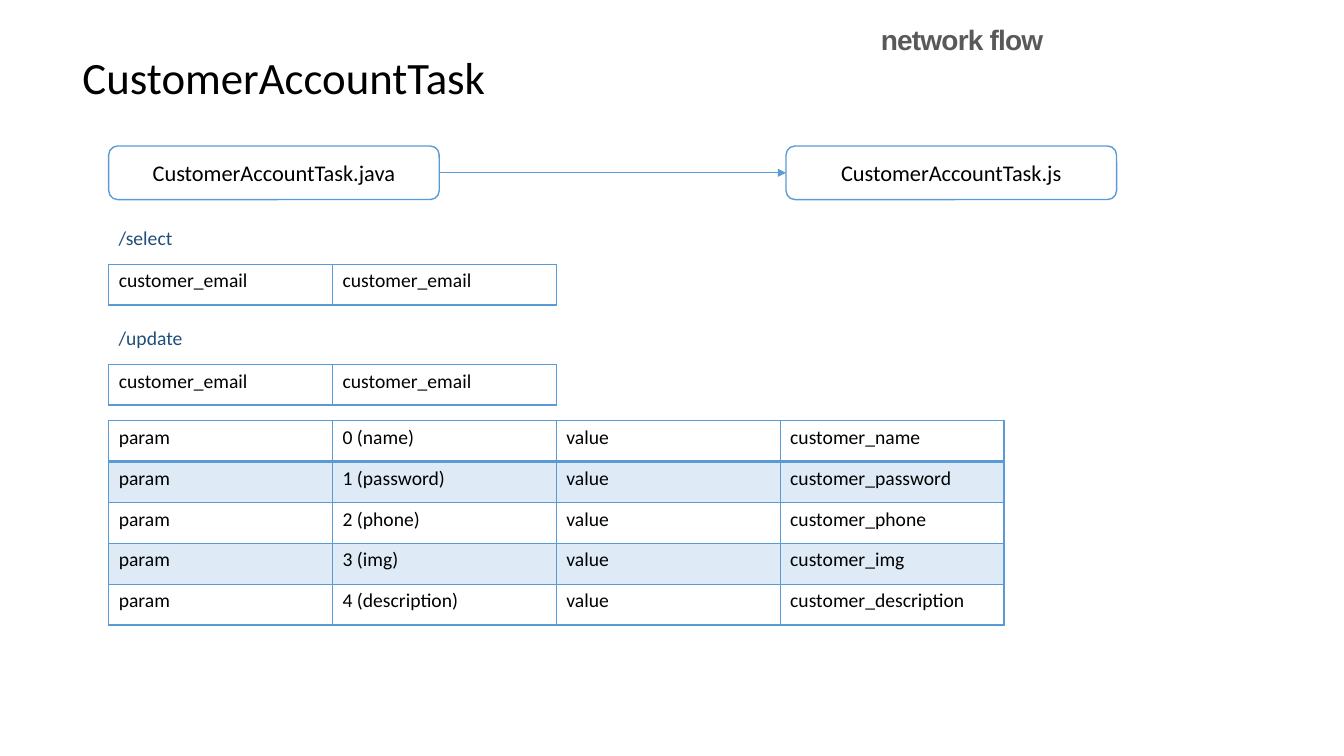
from dataclasses import dataclass

from lxml.etree import SubElement as Sub
from pptx import Presentation
from pptx.dml.color import RGBColor
from pptx.enum.shapes import MSO_CONNECTOR as Link, MSO_SHAPE as Kind
from pptx.enum.text import MSO_ANCHOR as Anchor, PP_ALIGN as Align
from pptx.oxml.ns import qn
from pptx.util import Cm, Pt

BLACK = RGBColor(0x00, 0x00, 0x00)
WHITE = RGBColor(0xFF, 0xFF, 0xFF)
GRAY = RGBColor(0x59, 0x59, 0x59)
BLUE = RGBColor(0x5B, 0x9B, 0xD5)
NAVY = RGBColor(0x1F, 0x4E, 0x79)
PALE = RGBColor(0xDE, 0xEB, 0xF7)

LEFT = 2.74
COL, ROW = 5.64, 1.03


@dataclass
class Label:
    text: str
    x: float
    y: float
    w: float
    h: float
    size: int
    color: RGBColor = BLACK
    font: str = "Calibri"
    bold: bool = False
    pad: bool = True
    middle: bool = False
    track: int = 0
    line: float = 1.0


@dataclass
class Node:
    text: str
    x: float


@dataclass
class Grid:
    y: float
    rows: list[list[str]]


LABELS = [
    Label("network flow", 22.2, 0.58, 10.92, 0.86, 20, GRAY, "Arial",
          bold=True, pad=False, track=-60),
    Label("CustomerAccountTask", 1.83, 1.02, 29.21, 2.01, 32, middle=True, line=0.9),
    Label("/select", LEFT, 5.56, 6.93, 0.86, 14, NAVY),
    Label("/update", LEFT, 8.1, 6.93, 0.86, 14, NAVY),
]
NODES = [Node("CustomerAccountTask.java", LEFT), Node("CustomerAccountTask.js", 19.81)]
FIELDS = ["name", "password", "phone", "img", "description"]
EMAIL = [["customer_email"] * 2]
GRIDS = [
    Grid(6.66, EMAIL),
    Grid(9.18, EMAIL),
    Grid(10.6, [["param", f"{i} ({name})", "value", f"customer_{name}"]
                for i, name in enumerate(FIELDS)]),
]


def write(frame, text: str, *, size: int, color: RGBColor = BLACK,
          font: str = "Calibri", bold: bool = False, align=Align.LEFT,
          track: int = 0, line: float = 1.0) -> None:
    part = frame.paragraphs[0]
    part.alignment = align
    part.line_spacing = line
    run = part.add_run()
    run.text = text
    run.font.size, run.font.name, run.font.bold = Pt(size), font, bold
    run.font.color.rgb = color
    if track:
        run.font._element.set("spc", str(track))


def add_label(slide, item: Label) -> None:
    box = slide.shapes.add_textbox(Cm(item.x), Cm(item.y), Cm(item.w), Cm(item.h))
    frame = box.text_frame
    frame.word_wrap = True
    frame.vertical_anchor = Anchor.MIDDLE if item.middle else Anchor.TOP
    if not item.pad:
        frame.margin_left = frame.margin_right = 0
        frame.margin_top = frame.margin_bottom = 0
    write(frame, item.text, size=item.size, color=item.color, font=item.font,
          bold=item.bold, track=item.track, line=item.line)


def add_node(slide, node: Node):
    box = slide.shapes.add_shape(Kind.ROUNDED_RECTANGLE, Cm(node.x), Cm(3.68),
                                 Cm(8.33), Cm(1.35))
    box.shadow.inherit = False
    box.fill.solid()
    box.fill.fore_color.rgb = WHITE
    box.line.color.rgb = BLUE
    box.line.width = Pt(1)
    box.text_frame.vertical_anchor = Anchor.MIDDLE
    write(box.text_frame, node.text, size=16, align=Align.CENTER)
    return box


def add_arrow(slide, start, end) -> None:
    arrow = slide.shapes.add_connector(Link.STRAIGHT, 0, 0, 0, 0)
    arrow.begin_connect(start, 3)
    arrow.end_connect(end, 1)
    arrow.line.color.rgb = BLUE
    arrow.line.width = Pt(0.5)
    Sub(arrow.line._get_or_add_ln(), qn("a:tailEnd"), type="triangle")
    Sub(arrow._element.spPr, qn("a:effectLst"))


def add_edge(cell, side: str, width: float) -> None:
    edge = Sub(cell._tc.get_or_add_tcPr(), qn(f"a:ln{side}"), w=str(Pt(width)))
    fill = Sub(edge, qn("a:solidFill"))
    Sub(fill, qn("a:srgbClr"), val=str(BLUE))


def add_grid(slide, grid: Grid) -> None:
    rows, cols = len(grid.rows), len(grid.rows[0])
    table = slide.shapes.add_table(rows, cols, Cm(LEFT), Cm(grid.y),
                                   Cm(COL * cols), Cm(ROW * rows)).table
    table.first_row = table.horz_banding = False
    for col in table.columns:
        col.width = Cm(COL)
    for r, texts in enumerate(grid.rows):
        table.rows[r].height = Cm(ROW)
        for c, text in enumerate(texts):
            cell = table.cell(r, c)
            # A double line parts the first row from the rest
            for side in "LRTB":
                thick = (r, side) in ((0, "B"), (1, "T"))
                add_edge(cell, side, 2 if thick else 1)
            if r % 2:
                cell.fill.solid()
                cell.fill.fore_color.rgb = PALE
            else:
                cell.fill.background()
            write(cell.text_frame, text, size=14)


def main() -> None:
    deck = Presentation()
    deck.slide_width, deck.slide_height = Cm(33.87), Cm(19.05)
    slide = deck.slides.add_slide(deck.slide_layouts[6])

    # Headings and route names
    for item in LABELS:
        add_label(slide, item)

    # Flow between the two files
    start, end = [add_node(slide, node) for node in NODES]
    add_arrow(slide, start, end)

    # Request fields
    for grid in GRIDS:
        add_grid(slide, grid)

    deck.save("out.pptx")


if __name__ == "__main__":
    main()
